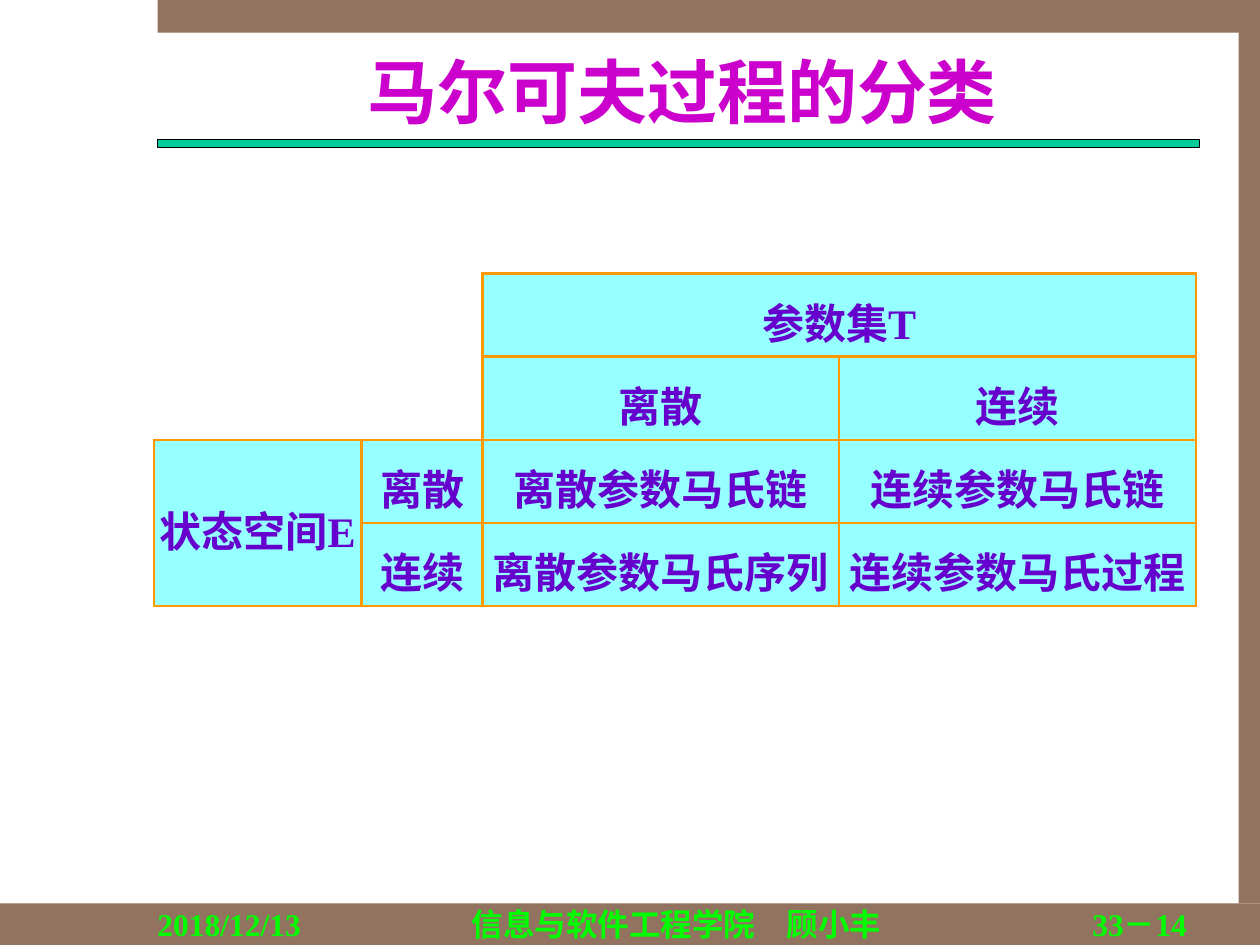
"""Build the slide that classifies Markov processes by parameter set and state space."""
from typing import NamedTuple, Optional

from lxml.etree import SubElement
from pptx import Presentation
from pptx.dml.color import RGBColor
from pptx.enum.shapes import MSO_SHAPE as Shape
from pptx.enum.text import MSO_ANCHOR as Anchor, PP_ALIGN as Align
from pptx.oxml.ns import qn
from pptx.util import Inches, Pt

COLORS = {
    "frame": "91735F", "rule": "00CC99", "rule_line": "000000", "title": "CC00CC",
    "footer": "00FF00", "cell": "96FFFF", "cell_text": "6600CC", "border": "FF9900",
}
FONT = "Times New Roman"


class Bar(NamedTuple):
    left: float
    top: float
    width: float
    height: float
    fill: str
    line: Optional[str] = None


class Footer(NamedTuple):
    left: float
    width: float
    text: str
    align: Align


BARS = [
    Bar(0, 7.17, 10, 0.33, "frame"),
    Bar(1.25, 0, 8.75, 0.26, "frame"),
    Bar(9.83, 0.25, 0.17, 6.92, "frame"),
    Bar(1.25, 1.11, 8.27, 0.06, "rule", "rule_line"),
]
FOOTERS = [
    Footer(1.25, 1.83, "2018/12/13", Align.LEFT),
    Footer(3.08, 4.58, "信息与软件工程学院　顾小丰", Align.CENTER),
    Footer(7.75, 1.67, "33－14", Align.RIGHT),
]
COLUMN_WIDTHS = [1.65, 0.96, 2.83, 2.83]
ROW_HEIGHT = 0.56
ROWS = [
    ["", "", "参数集T", ""],
    ["", "", "离散", "连续"],
    ["状态空间E", "离散", "离散参数马氏链", "连续参数马氏链"],
    ["", "连续", "离散参数马氏序列", "连续参数马氏过程"],
]
HEADER_ROWS = HEADER_COLUMNS = 2


def color(name: str) -> RGBColor:
    """Return the named colour."""
    return RGBColor.from_string(COLORS[name])


def add_run(paragraph, text: str, size: float, color_name: str, align: Align) -> None:
    """Append a bold run and align its paragraph."""
    paragraph.alignment = align
    run = paragraph.add_run()
    run.text = text
    run.font.name = FONT
    run.font.size = Pt(size)
    run.font.bold = True
    run.font.color.rgb = color(color_name)


def clear_margins(frame) -> None:
    """Remove the insets of a text frame and let it wrap."""
    frame.margin_left = frame.margin_right = frame.margin_top = frame.margin_bottom = 0
    frame.word_wrap = True


def add_bar(slide, bar: Bar) -> None:
    """Draw one filled bar."""
    shape = slide.shapes.add_shape(Shape.RECTANGLE, *(Inches(value) for value in bar[:4]))
    shape.shadow.inherit = False
    shape.fill.solid()
    shape.fill.fore_color.rgb = color(bar.fill)
    if bar.line:
        shape.line.color.rgb = color(bar.line)
        shape.line.width = Pt(0.75)
    else:
        shape.line.fill.background()


def add_title(slide, text: str) -> None:
    """Place and format the title placeholder."""
    title = slide.shapes.title
    title.left, title.top = Inches(1.33), Inches(0.38)
    title.width, title.height = Inches(8.17), Inches(0.67)
    frame = title.text_frame
    clear_margins(frame)
    frame.vertical_anchor = Anchor.MIDDLE
    add_run(frame.paragraphs[0], text, 40, "title", Align.CENTER)


def add_footer(slide, footer: Footer) -> None:
    """Write one footer item."""
    box = slide.shapes.add_textbox(
        Inches(footer.left), Inches(7.18), Inches(footer.width), Inches(0.3))
    clear_margins(box.text_frame)
    add_run(box.text_frame.paragraphs[0], footer.text, 18, "footer", footer.align)


def set_borders(cell, visible: str) -> None:
    """Draw the sides listed in visible and hide the others."""
    properties = cell._tc.get_or_add_tcPr()
    for side in "LRTB":
        line = SubElement(properties, qn(f"a:ln{side}"), w=str(Pt(1.5)))
        if side in visible:
            fill = SubElement(line, qn("a:solidFill"))
            SubElement(fill, qn("a:srgbClr"), val=COLORS["border"])
        else:
            SubElement(line, qn("a:noFill"))


def format_cell(cell, row: int, column: int, text: str) -> None:
    """Format one cell, leaving the top left corner of the grid blank."""
    if row < HEADER_ROWS and column < HEADER_COLUMNS:
        right = "R" if column == HEADER_COLUMNS - 1 else ""
        bottom = "B" if row == HEADER_ROWS - 1 else ""
        set_borders(cell, right + bottom)
        cell.fill.background()
        return
    set_borders(cell, "LRTB")
    cell.fill.solid()
    cell.fill.fore_color.rgb = color("cell")
    cell.margin_left = cell.margin_right = 0
    cell.margin_top = cell.margin_bottom = Inches(0.04)
    if text:
        paragraph = cell.text_frame.paragraphs[0]
        paragraph.line_spacing = 1.2
        add_run(paragraph, text, 24, "cell_text", Align.CENTER)


def add_classification(slide) -> None:
    """Add the table of process classes."""
    table = slide.shapes.add_table(
        len(ROWS), len(COLUMN_WIDTHS), Inches(1.22), Inches(2.17),
        Inches(sum(COLUMN_WIDTHS)), Inches(ROW_HEIGHT * len(ROWS))).table
    table.first_row = table.horz_banding = False
    for column, width in zip(table.columns, COLUMN_WIDTHS):
        column.width = Inches(width)
    for row_index, texts in enumerate(ROWS):
        table.rows[row_index].height = Inches(ROW_HEIGHT)
        for column_index, text in enumerate(texts):
            format_cell(table.cell(row_index, column_index), row_index, column_index, text)
    table.cell(0, 2).merge(table.cell(0, 3))
    state_space = table.cell(2, 0)
    state_space.merge(table.cell(3, 0))
    state_space.vertical_anchor = Anchor.MIDDLE
    state_space.text_frame.paragraphs[0].space_before = Pt(12)


def main() -> None:
    """Build and save the presentation."""
    presentation = Presentation()
    presentation.slide_width, presentation.slide_height = Inches(10), Inches(7.5)
    slide = presentation.slides.add_slide(presentation.slide_layouts[5])
    for bar in BARS:
        add_bar(slide, bar)
    add_title(slide, "马尔可夫过程的分类")
    add_classification(slide)
    for footer in FOOTERS:
        add_footer(slide, footer)
    presentation.save("out.pptx")


if __name__ == "__main__":
    main()
